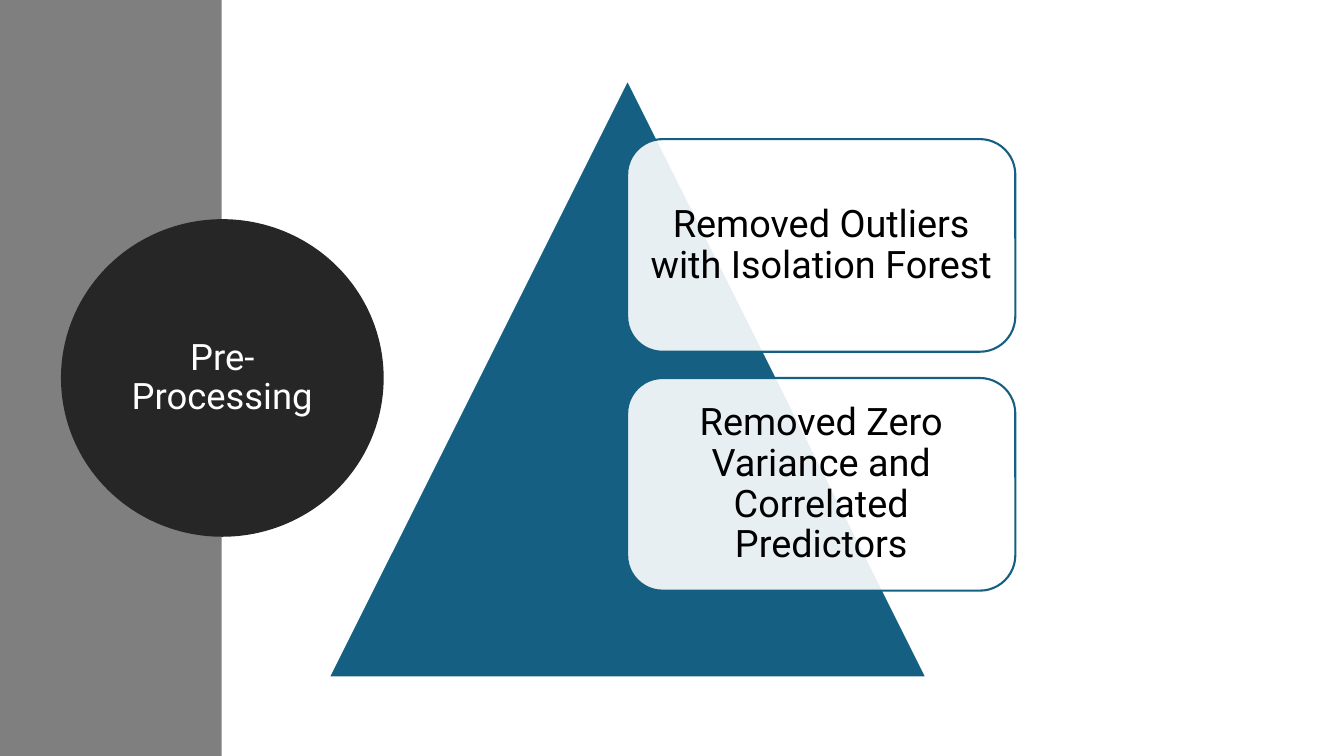
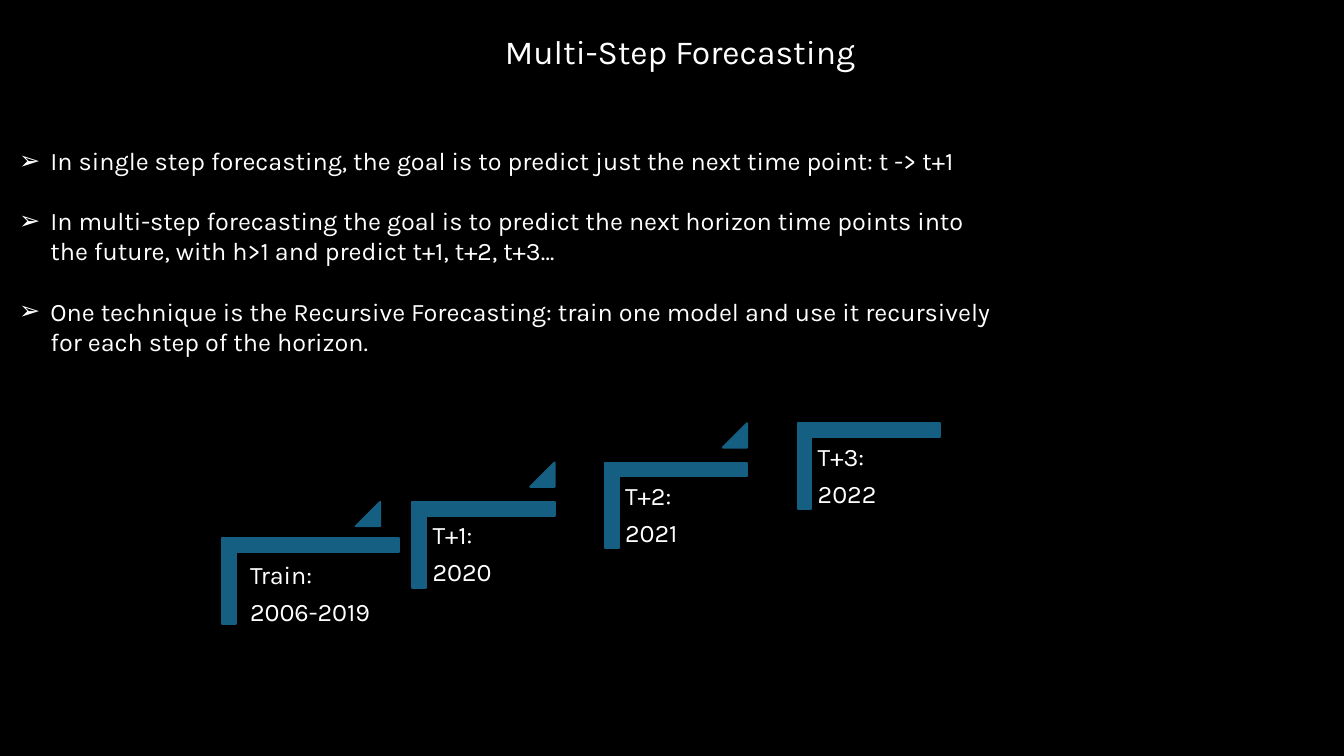
from lxml import etree
from pptx import Presentation
from pptx import util as u
from pptx.dml.color import RGBColor
from pptx.enum import shapes, text
from pptx.oxml.ns import qn

PX = 9144  # EMU in one px, 100 px to the inch
WHITE = RGBColor(0xFF, 0xFF, 0xFF)
BLACK = RGBColor(0, 0, 0)
GREY = RGBColor(0x7F, 0x7F, 0x7F)
CHARCOAL = RGBColor(0x26, 0x26, 0x26)
BLUE = RGBColor(0x15, 0x60, 0x82)
SHAPE = shapes.MSO_SHAPE
ALIGN = text.PP_ALIGN
ANCHOR = text.MSO_ANCHOR
TITLE_ONLY, TITLE_AND_BODY = 5, 1


def px(*lengths):
    return [u.Emu(int(length * PX)) for length in lengths]


def write(frame, *lines, font="Karla", size=18, color=WHITE, align=ALIGN.LEFT,
          anchor=ANCHOR.TOP, spacing=1.0, gap=0, inset=None, bullet=None, indent=31):
    """Fill a text frame, one paragraph a line; gap is the points between them."""
    frame.word_wrap = True
    frame.auto_size = text.MSO_AUTO_SIZE.NONE
    frame.vertical_anchor = anchor
    if inset is not None:
        frame.margin_left, frame.margin_top, frame.margin_right, frame.margin_bottom = px(*[inset] * 4)
    for index, line in enumerate(lines):
        para = frame.paragraphs[0] if index == 0 else frame.add_paragraph()
        para.alignment = align
        para.line_spacing = spacing
        para.space_before = u.Pt(gap if index else 0)
        if bullet:
            props = para._p.get_or_add_pPr()
            props.set("marL", str(indent * PX))
            props.set("indent", str(-indent * PX))
            etree.SubElement(props, qn("a:buChar")).set("char", bullet)
        span = para.add_run()
        span.text = line
        span.font.name, span.font.size = font, u.Pt(size)
        span.font.color.rgb = color


class Slides:
    def __init__(self):
        self.deck = Presentation()
        self.deck.slide_width, self.deck.slide_height = px(1333, 750)
        self.page = None

    def new_page(self, layout, background):
        self.page = self.deck.slides.add_slide(self.deck.slide_layouts[layout])
        self.page.background.fill.solid()
        self.page.background.fill.fore_color.rgb = background

    def placeholder(self, index, box, *lines, **style):
        holder = self.page.placeholders[index]
        holder.left, holder.top, holder.width, holder.height = px(*box)
        write(holder.text_frame, *lines, **style)
        return holder

    def shape(self, kind, box, fill, line=None, weight=1.5, opacity=100, adjust=(), turn=0):
        item = self.page.shapes.add_shape(kind, *px(*box))
        item.shadow.inherit = False
        item.rotation = turn
        for index, value in enumerate(adjust):
            item.adjustments[index] = value
        item.fill.solid()
        item.fill.fore_color.rgb = fill
        if opacity < 100:
            tint = item.fill._xPr.find(qn("a:solidFill"))[0]
            etree.SubElement(tint, qn("a:alpha")).set("val", str(opacity * 1000))
        if line is None:
            item.line.fill.background()
        else:
            item.line.color.rgb = line
            item.line.width = u.Pt(weight)
        return item

    def label(self, box, *lines, **style):
        write(self.page.shapes.add_textbox(*px(*box)).text_frame, *lines, **style)

    def bracket(self, left, top, width, height=85):
        """Draw a corner turned upright, given the box it covers once turned."""
        box = (left + (width - height) / 2, top + (height - width) / 2, height, width)
        self.shape(SHAPE.CORNER, box, BLUE, BLUE, adjust=(0.16, 0.16), turn=90)

    def step(self, corner, width, label_box, *lines):
        self.bracket(*corner, width)
        self.label(label_box, *lines, spacing=0.9, gap=7, inset=7)

    def rise(self, left, top):
        self.shape(SHAPE.ISOSCELES_TRIANGLE, (left, top, 24, 24), BLUE, BLUE, adjust=(1,))


def build_preprocessing(slides):
    slides.new_page(TITLE_ONLY, WHITE)
    slides.shape(SHAPE.RECTANGLE, (0, 0, 220, 750), GREY)
    disc = slides.shape(SHAPE.OVAL, (70, 227, 301, 296), CHARCOAL, CHARCOAL, 13.75)
    title = slides.placeholder(0, (114, 270, 213, 210), "Pre-Processing", font="Roboto", size=26,
                               align=ALIGN.CENTER, anchor=ANCHOR.MIDDLE, spacing=0.9)
    disc.element.addnext(title.element)
    slides.shape(SHAPE.ISOSCELES_TRIANGLE, (326, 79, 593, 593), BLUE, WHITE)
    actions = ("Removed Outliers with Isolation Forest",
               "Removed Zero Variance and Correlated Predictors")
    for row, action in enumerate(actions):
        card = slides.shape(SHAPE.ROUNDED_RECTANGLE, (622, 138 + 237 * row, 385, 211),
                            WHITE, BLUE, opacity=90)
        write(card.text_frame, action, font="Roboto", size=27, color=BLACK, inset=11,
              align=ALIGN.CENTER, anchor=ANCHOR.MIDDLE, spacing=0.9)


def build_forecasting(slides):
    slides.new_page(TITLE_AND_BODY, BLACK)
    slides.placeholder(0, (200, 26, 949, 50), "Multi-Step Forecasting", size=24, align=ALIGN.CENTER)
    slides.placeholder(
        1, (9, 139, 991, 283),
        "In single step forecasting, the goal is to predict just the next time point: t -> t+1",
        "In multi-step forecasting the goal is to predict the next horizon time points into the "
        "future, with h>1 and predict t+1, t+2, t+3…",
        "One technique is the Recursive Forecasting: train one model and use it recursively for "
        "each step of the horizon.",
        bullet="➢", gap=21.5)
    slides.step((220, 534), 176, (241, 551, 144, 112), "Train:", "2006-2019")
    slides.rise(353, 498)
    horizon = ("2020", "2021", "2022")
    for index, year in enumerate(horizon):
        left, top = 409 + 191 * index, 498 - 39 * index
        slides.step((left, top), 141, (left + 13, top + 14, 128, 112), f"T+{index + 1}:", year)
        if index < len(horizon) - 1:
            slides.rise(left + 117, top - 39)


def main():
    slides = Slides()
    build_preprocessing(slides)
    build_forecasting(slides)
    slides.deck.save("out.pptx")


if __name__ == "__main__":
    main()
